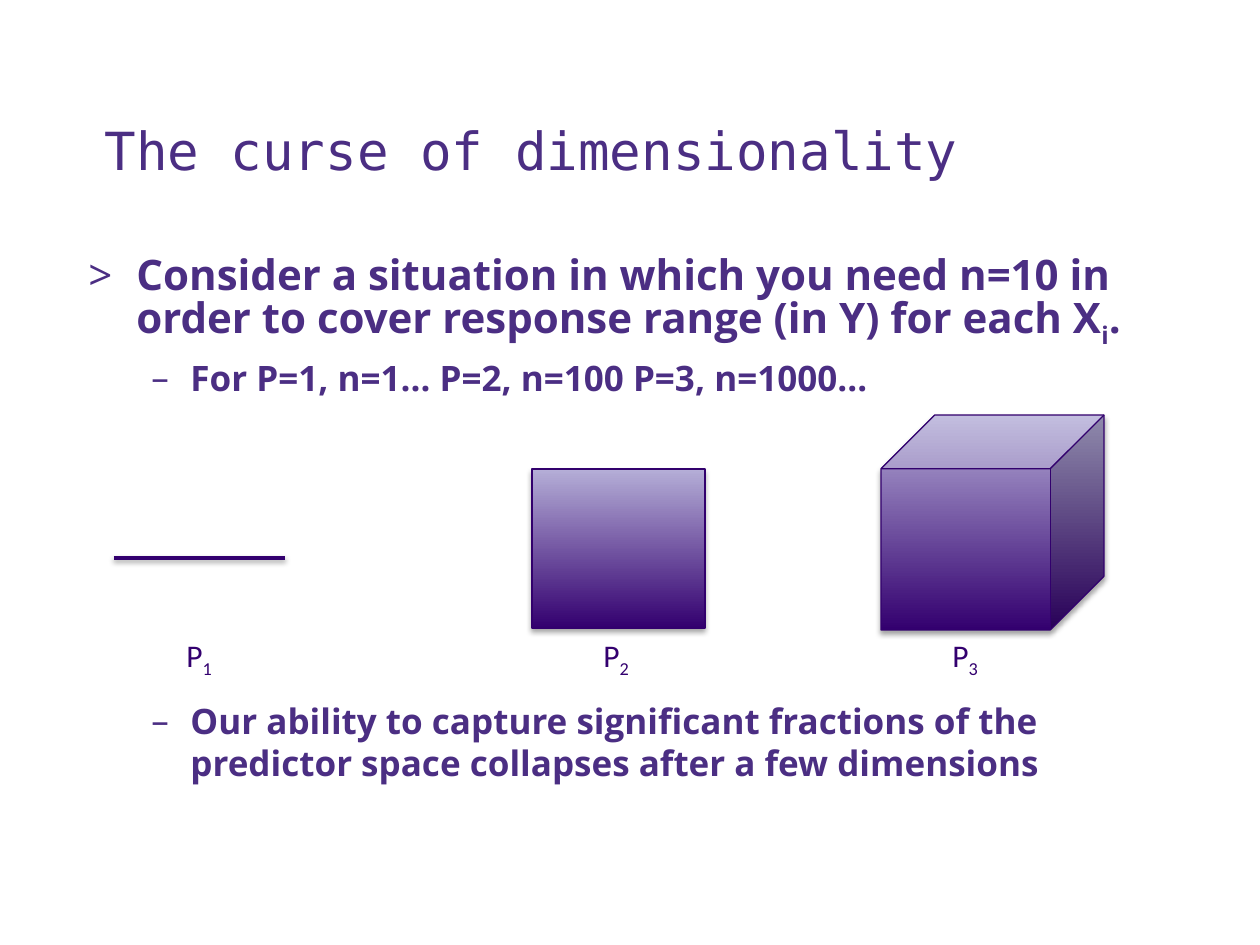
from lxml import etree
from pptx import Presentation, util as u
from pptx.dml.color import RGBColor
from pptx.enum import shapes, text
from pptx.oxml import parse_xml
from pptx.oxml.ns import nsdecls, qn

SCALE = 914400 / 126


def px(n):
    return u.Emu(round(n * SCALE))


def tint(code):
    return RGBColor.from_string(code)


class Deck:
    """Holds the style and the current slide, and draws each kind of element."""

    plum, deep, edge, pale = "4B2E83", "33006F", "32006D", "B5AED7"
    mono, sans, plain = "DejaVu Sans Mono", "Open Sans", "Calibri"

    def __init__(self):
        self.prs = Presentation()
        self.prs.slide_width, self.prs.slide_height = px(1260), px(945)
        self.slide = self.prs.slides.add_slide(self.prs.slide_layouts[6])

    def box(self, x, y, w, h, wrap=True):
        area = self.slide.shapes.add_textbox(px(x), px(y), px(w), px(h))
        area.text_frame.word_wrap = wrap
        return area.text_frame

    def words(self, para, parts, size, face, code, bold=False):
        for part, low in parts:
            run = para.add_run()
            run.text = part
            font = run.font
            font.size, font.name, font.bold = u.Pt(size), face, bold
            font.color.rgb = tint(code)
            if low:
                run._r.get_or_add_rPr().set("baseline", "-25000")

    def title(self, x, y, w, h, line):
        frame = self.box(x, y, w, h)
        frame.vertical_anchor = text.MSO_ANCHOR.BOTTOM
        para = frame.paragraphs[0]
        para.line_spacing = 0.9
        self.words(para, [(line, False)], 30, self.mono, self.plum)

    def bullets(self, x, y, w, h, items):
        frame = self.box(x, y, w, h)
        frame.margin_top = px(11)
        for i, (level, gap, parts) in enumerate(items):
            para = frame.add_paragraph() if i else frame.paragraphs[0]
            mark, size, lead, left, hang = (
                (">", 24, 28.6, 48, 48), ("–", 20, 24.1, 102, 39))[level]
            para.level = level
            para.line_spacing, para.space_before = u.Pt(lead), u.Pt(gap)
            props = para._p.get_or_add_pPr()
            props.set("marL", str(px(left)))
            props.set("indent", str(-px(hang)))
            etree.SubElement(props, qn("a:buFont")).set("typeface", self.sans)
            etree.SubElement(props, qn("a:buChar")).set("char", mark)
            self.words(para, parts, size, self.sans, self.plum, True)

    def shade(self, shape, dist, alpha):
        shape._element.spPr.append(parse_xml(
            f'<a:effectLst {nsdecls("a")}><a:outerShdw blurRad="{u.Pt(3.1)}" '
            f'dist="{u.Pt(dist)}" dir="5400000" rotWithShape="0">'
            f'<a:srgbClr val="000000"><a:alpha val="{alpha}000"/></a:srgbClr>'
            '</a:outerShdw></a:effectLst>'))

    def solid(self, kind, x, y, w, h):
        shape = self.slide.shapes.add_shape(kind, px(x), px(y), px(w), px(h))
        shape.fill.gradient()
        shape.fill.gradient_angle = 90
        for stop, code in zip(shape.fill.gradient_stops, (self.deep, self.pale)):
            stop.color.rgb = tint(code)
        shape.line.color.rgb = tint(self.edge)
        shape.line.width = u.Pt(0.75)
        self.shade(shape, 1.8, 35)

    def line(self, x, y, w):
        rule = self.slide.shapes.add_connector(
            shapes.MSO_CONNECTOR.STRAIGHT, px(x), px(y), px(x + w), px(y))
        rule.line.color.rgb = tint(self.deep)
        rule.line.width = u.Pt(2)
        self.shade(rule, 1.6, 38)

    def label(self, x, y, sub):
        frame = self.box(x, y, 53, 50, False)
        frame.auto_size = text.MSO_AUTO_SIZE.SHAPE_TO_FIT_TEXT
        self.words(frame.paragraphs[0], [("P", False), (sub, True)],
                   18, self.plain, self.deep)


def main():
    deck = Deck()
    deck.title(92, 52, 1128, 136, "The curse of dimensionality")
    deck.bullets(76, 238, 1129, 553, [
        (0, 0, [("Consider a situation in which you need n=10 in order to "
                 "cover response range (in Y) for each X", False),
                ("i", True), (".", False)]),
        (1, 4, [("For P=1, n=1… P=2, n=100 P=3, n=1000…", False)]),
        (1, 172, [("Our ability to capture significant fractions of the "
                   "predictor space collapses after a few dimensions", False)]),
    ])
    deck.solid(shapes.MSO_SHAPE.CUBE, 881, 415, 223, 215)
    deck.line(114, 558, 171)
    deck.solid(shapes.MSO_SHAPE.RECTANGLE, 532, 469, 173, 159)
    for sub, x in enumerate((174, 591, 940), 1):
        deck.label(x, 630, str(sub))
    deck.prs.save("out.pptx")


if __name__ == "__main__":
    main()
